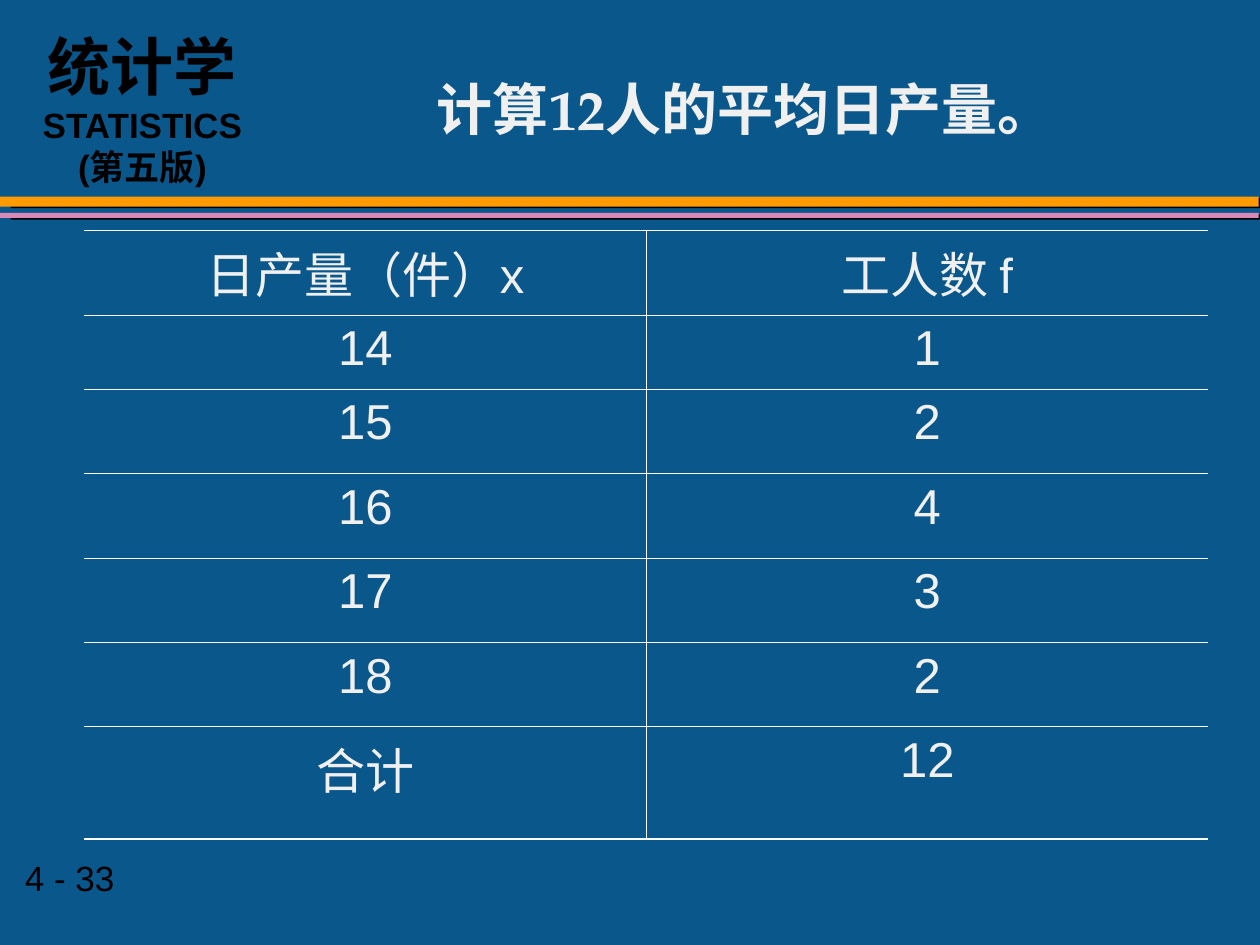
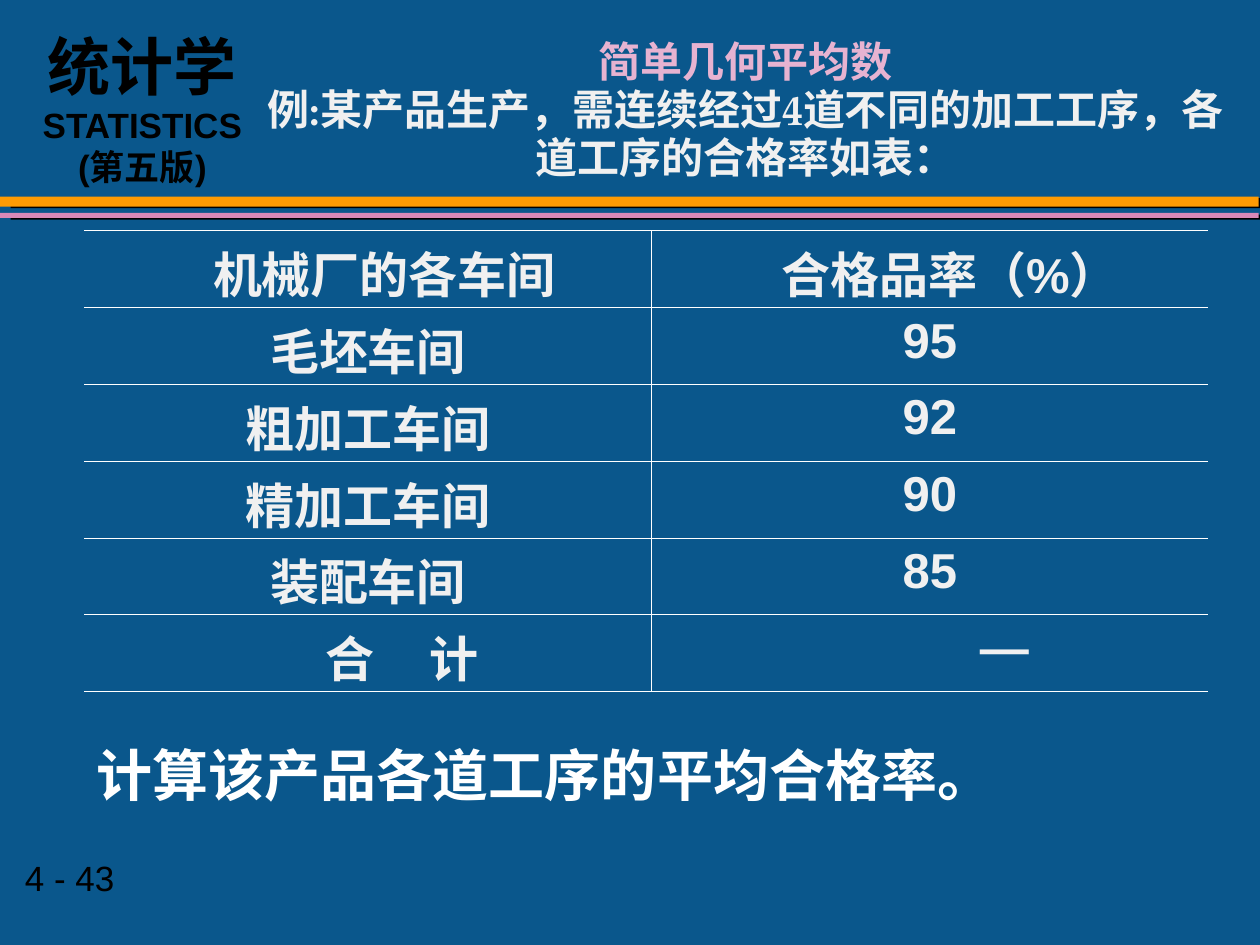
from lxml.etree import SubElement
from pptx import Presentation
from pptx.dml.color import RGBColor
from pptx.enum.lang import MSO_LANGUAGE_ID
from pptx.enum.shapes import MSO_SHAPE
from pptx.enum.text import MSO_ANCHOR, MSO_AUTO_SIZE, PP_ALIGN
from pptx.oxml import parse_xml
from pptx.oxml.ns import nsdecls, qn
from pptx.util import Inches, Pt

BLUE = RGBColor(0x0A, 0x57, 0x8C)
ORANGE = RGBColor(0xFE, 0x9B, 0x03)
PINK = RGBColor(0xD9, 0x89, 0xB8)
PALE_PINK = RGBColor(0xE7, 0xB3, 0xD1)
OFF_WHITE = RGBColor(0xF0, 0xF0, 0xF0)
WHITE = RGBColor(0xFF, 0xFF, 0xFF)
BLACK = RGBColor(0x00, 0x00, 0x00)

BODY_FONT = "Arial"
TITLE_FONT = "TeX Gyre Pagella"
THIN, HEAVY = 0.45, 1.08

BANDS = [(1.56, 0.08, ORANGE), (1.69, 0.04, PINK)]
SHADOW = (
    f'<a:effectLst {nsdecls("a")}><a:outerShdw dist="77470" dir="540000" algn="ctr" rotWithShape="0">'
    '<a:srgbClr val="000000"/></a:outerShdw></a:effectLst>'
)

PAGES = [
    {
        "number": "4 - 33",
        "title": [("计算12人的平均日产量。", OFF_WHITE)],
        "title_size": 32,
        "columns": [4.46, 4.46],
        "heights": [0.67, 0.59, 0.67, 0.67, 0.67, 0.67, 0.89],
        "rows": [("日产量（件）x", "工人数 f"), ("14", "1"), ("15", "2"), ("16", "4"),
                 ("17", "3"), ("18", "2"), ("合计", "12")],
        "bold": False,
        "heavy_top": (0, 1),
        "indents": {},
        "question": None,
    },
    {
        "number": "4 - 43",
        "title": [("简单几何平均数", PALE_PINK),
                  ("例:某产品生产，需连续经过4道不同的加工工序，各道工序的合格率如表：", OFF_WHITE)],
        "title_size": 24,
        "columns": [4.5, 4.42],
        "heights": [0.61] * 6,
        "rows": [("机械厂的各车间", "合格品率（%）"), ("毛坯车间", "95"), ("粗加工车间", "92"),
                 ("精加工车间", "90"), ("装配车间", "85"), ("合计", "—")],
        "bold": True,
        "heavy_top": (1,),
        "indents": {(0, 0): 0.26, (0, 1): 0.32, (5, 0): 0.54, (5, 1): 1.18},
        "question": "计算该产品各道工序的平均合格率。",
    },
]


def add_run(paragraph, text, size, color, bold=False, font=BODY_FONT):
    run = paragraph.add_run()
    run.text = text
    run.font.name = font
    run.font.size = Pt(size)
    run.font.bold = bold
    run.font.color.rgb = color
    run.font.language_id = MSO_LANGUAGE_ID.SIMPLIFIED_CHINESE
    return run


def add_text_frame(slide, left, top, width, height):
    frame = slide.shapes.add_textbox(Inches(left), Inches(top), Inches(width), Inches(height)).text_frame
    frame.word_wrap = True
    return frame


prs = Presentation()
prs.slide_width = Inches(10)
prs.slide_height = Inches(7.5)
prs.slide_master.background.fill.solid()
prs.slide_master.background.fill.fore_color.rgb = BLUE

for page in PAGES:
    slide = prs.slides.add_slide(prs.slide_layouts[5])

    for top, height, color in BANDS:
        band = slide.shapes.add_shape(MSO_SHAPE.RECTANGLE, 0, Inches(top), Inches(9.99), Inches(height))
        band.fill.solid()
        band.fill.fore_color.rgb = color
        band.line.fill.background()
        band.element.spPr.append(parse_xml(SHADOW))

    page_number = add_text_frame(slide, 0.1, 6.75, 1.87, 0.43)
    add_run(page_number.paragraphs[0], page["number"], 20, BLACK)

    course = add_text_frame(slide, 0.17, 0.17, 1.92, 1.37)
    course_name, edition = course.paragraphs[0], course.add_paragraph()
    course_name.alignment = edition.alignment = PP_ALIGN.CENTER
    add_run(course_name, "统计学", 36, BLACK, True)
    add_run(course_name, "STATISTICS", 20, BLACK, True)
    add_run(edition, "(第五版)", 20, BLACK, True)

    title = slide.shapes.title
    title.left, title.top, title.width, title.height = Inches(2), Inches(0.17), Inches(7.83), Inches(1.42)
    title.text_frame.auto_size = MSO_AUTO_SIZE.NONE
    title.text_frame.vertical_anchor = MSO_ANCHOR.MIDDLE
    heading = title.text_frame.paragraphs[0]
    heading.alignment = PP_ALIGN.CENTER
    heading.line_spacing = 0.95
    for index, (text, color) in enumerate(page["title"]):
        if index:
            heading.add_line_break()
        add_run(heading, text, page["title_size"], color, True, TITLE_FONT)

    rows = page["rows"]
    last_row = len(rows) - 1
    table = slide.shapes.add_table(len(rows), 2, Inches(0.67), Inches(1.83),
                                   Inches(8.92), Inches(sum(page["heights"]))).table
    table.first_row = False
    table.horz_banding = False
    for column, width in zip(table.columns, page["columns"]):
        column.width = Inches(width)

    for r, row in enumerate(rows):
        table.rows[r].height = Inches(page["heights"][r])
        for c, text in enumerate(row):
            cell = table.cell(r, c)
            cell.margin_left = Inches(0.1 + page["indents"].get((r, c), 0))
            paragraph = cell.text_frame.paragraphs[0]
            paragraph.alignment = PP_ALIGN.CENTER
            if (r, c) == (5, 0) and text == "合计":
                first = add_run(paragraph, text[0], 28, OFF_WHITE, page["bold"])
                first.font._element.set("spc", "3100")
                text = text[1]
            add_run(paragraph, text, 28, OFF_WHITE, page["bold"])

            borders = {
                "a:lnL": THIN if c == 1 else None,
                "a:lnR": THIN if c == 0 else None,
                "a:lnT": HEAVY if r == 0 and c in page["heavy_top"] else THIN,
                "a:lnB": HEAVY if r == last_row else THIN,
            }
            properties = cell._tc.get_or_add_tcPr()
            for side, weight in borders.items():
                border = SubElement(properties, qn(side), w=str(Pt(weight or 0)))
                if weight:
                    fill = SubElement(border, qn("a:solidFill"))
                    SubElement(fill, qn("a:srgbClr"), val=str(WHITE))
                else:
                    SubElement(border, qn("a:noFill"))
            cell.fill.background()

    if page["question"]:
        question = add_text_frame(slide, 0.67, 5.83, 8.25, 0.64)
        add_run(question.paragraphs[0], page["question"], 32, WHITE, True)

prs.save("out.pptx")
